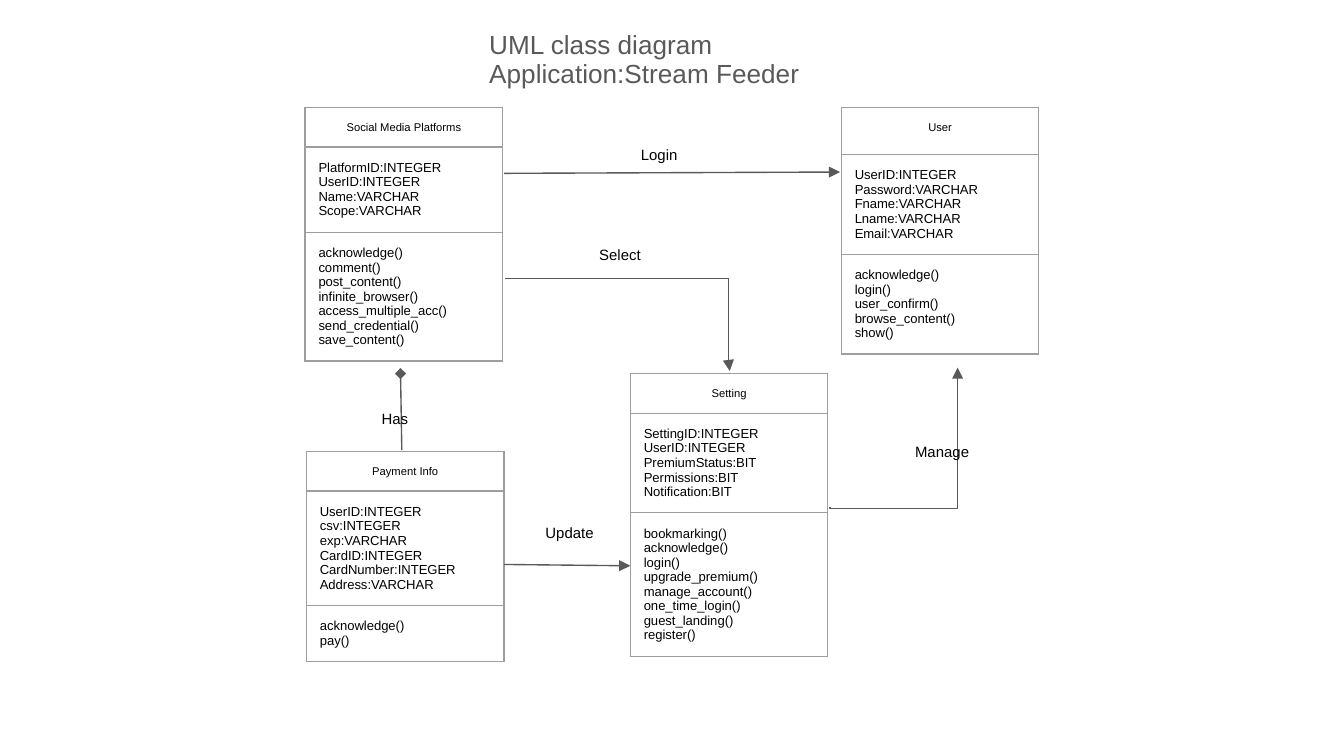
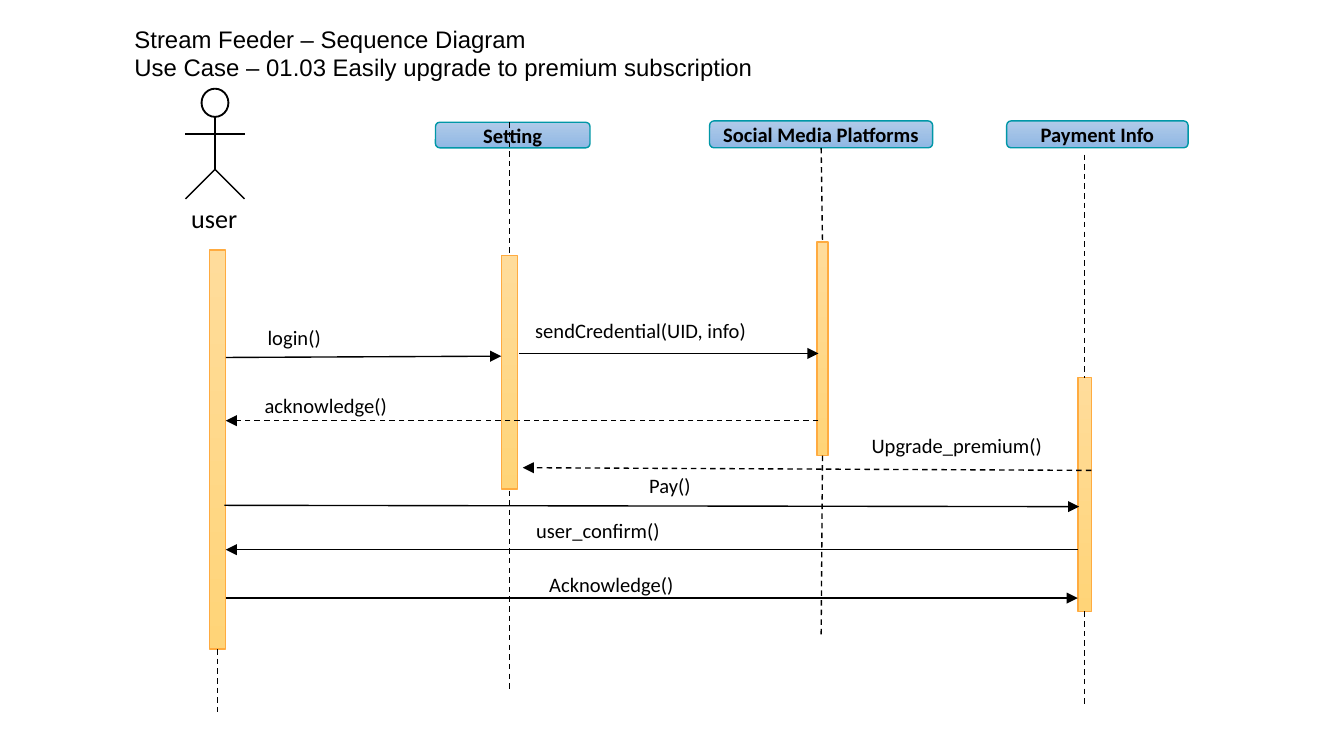
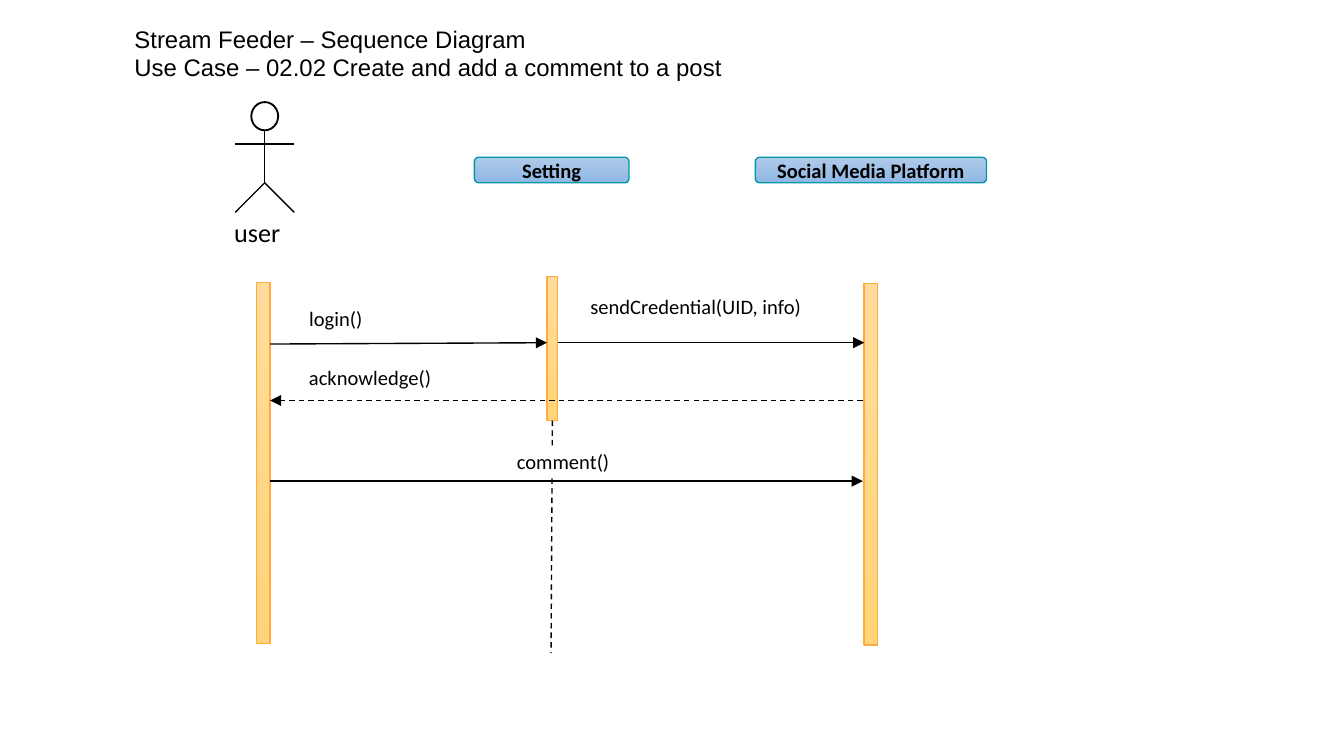
"""Build a class diagram and two sequence diagrams."""
from dataclasses import dataclass
from typing import Optional

from lxml import etree
from pptx import Presentation
from pptx.dml.color import RGBColor
from pptx.enum.dml import MSO_LINE
from pptx.enum.shapes import MSO_CONNECTOR, MSO_SHAPE
from pptx.enum.text import MSO_ANCHOR, MSO_AUTO_SIZE, PP_ALIGN
from pptx.oxml.ns import qn
from pptx.util import Inches, Pt

LEFT, CENTER = PP_ALIGN.LEFT, PP_ALIGN.CENTER
TOP, MIDDLE = MSO_ANCHOR.TOP, MSO_ANCHOR.MIDDLE
STRAIGHT, ELBOW = MSO_CONNECTOR.STRAIGHT, MSO_CONNECTOR.ELBOW
RECT, ROUND = MSO_SHAPE.RECTANGLE, MSO_SHAPE.ROUNDED_RECTANGLE
CIRCLE = MSO_SHAPE.FLOWCHART_CONNECTOR
DASH, NO_FIT = MSO_LINE.DASH, MSO_AUTO_SIZE.NONE

BLACK, WHITE, GREY, RULE = "000000", "FFFFFF", "595959", "9E9E9E"
TEAL, AMBER = "0097A7", "FFAB40"
BLUES, GOLDS = ("B0CAE9", "90B8E4"), ("FFDC9B", "FFD478")
SANS, BODY = "Arial", "Calibri"
THIN = 0.75
WIDE = (0.1, 0.1)
SNUG = (0.07, 0.04)
Box = tuple[float, float, float, float]


@dataclass
class Entity:
    """A class box: name, fields and methods."""
    left: float
    top: float
    name: str
    fields: str
    calls: str
    head: float = 0.29


@dataclass
class Wire:
    """A line between two points."""
    start: tuple[float, float]
    end: tuple[float, float]
    dash: bool = False
    tip: Optional[str] = "triangle"
    color: str = BLACK
    width: float = THIN
    bend: Optional[float] = None
    turn: int = 0


@dataclass
class Label:
    """A white box with a call name."""
    box: Box
    text: str
    align: PP_ALIGN = CENTER
    size: float = 11
    pad: float = 0.07


@dataclass
class Actor:
    """A stick figure: corner of its head, height of its arms, caption."""
    left: float
    top: float
    arm: float
    name: Box


@dataclass
class Scene:
    """All parts of one sequence diagram."""
    title: str
    actor: Actor
    heads: list[tuple[Box, str]]
    bars: list[Box]
    lives: list[Wire]
    labels: list[Label]
    calls: list[Wire]


def rgb(code: str) -> RGBColor:
    """Turn a hex string into a colour."""
    return RGBColor.from_string(code)


def place(shape, box: Box) -> None:
    """Move and size a shape."""
    shape.left, shape.top, shape.width, shape.height = map(Inches, box)


def write(frame, text: str, size: float, font: str = SANS, color: str = BLACK,
          align: PP_ALIGN = LEFT, bold: bool = False, space: float = 1.0) -> None:
    """Fill a text frame, one paragraph a line."""
    frame.text = text
    for para in frame.paragraphs:
        para.alignment = align
        para.line_spacing = space
        for run in para.runs:
            run.font.size, run.font.name, run.font.bold = Pt(size), font, bold
            run.font.color.rgb = rgb(color)


def inset(item, side: float, edge: float) -> None:
    """Set the margins of a frame or a cell."""
    item.margin_left = item.margin_right = Inches(side)
    item.margin_top = item.margin_bottom = Inches(edge)


def add_title(slide, text: str, box: Box, size: float, color: str = BLACK,
              space: float = 1.0) -> None:
    """Use the title placeholder for a two-line heading."""
    title = slide.shapes.title
    place(title, box)
    frame = title.text_frame
    frame.auto_size, frame.word_wrap = NO_FIT, True
    frame.vertical_anchor = TOP
    inset(frame, *WIDE)
    write(frame, text, size, color=color, space=space)


def add_block(slide, kind, box: Box, fill: str | tuple[str, str], line: str,
              width: float = THIN):
    """Draw a shape with a plain or two-stop fill."""
    shape = slide.shapes.add_shape(kind, *map(Inches, box))
    shape.shadow.inherit = False
    if isinstance(fill, str):
        shape.fill.solid()
        shape.fill.fore_color.rgb = rgb(fill)
    else:
        shape.fill.gradient()
        shape.fill.gradient_angle = 270
        for stop, code in zip(shape.fill.gradient_stops, fill):
            stop.color.rgb = rgb(code)
    shape.line.color.rgb = rgb(line)
    shape.line.width = Pt(width)
    return shape


def add_wire(slide, wire: Wire) -> None:
    """Draw a connector with optional dash, tip and bend."""
    kind = STRAIGHT if wire.bend is None else ELBOW
    link = slide.shapes.add_connector(kind, *map(Inches, wire.start + wire.end))
    link.line.color.rgb = rgb(wire.color)
    link.line.width = Pt(wire.width)
    if wire.dash:
        link.line.dash_style = DASH
    props = link._element.spPr
    if wire.tip:
        etree.SubElement(props.find(qn("a:ln")), qn("a:tailEnd"), type=wire.tip)
    etree.SubElement(props, qn("a:effectLst"))
    if wire.bend is not None:
        guides = props.find(qn("a:prstGeom")).find(qn("a:avLst"))
        etree.SubElement(guides, qn("a:gd"), name="adj1",
                         fmla=f"val {round(wire.bend * 100000)}")
        props.find(qn("a:xfrm")).set("rot", str(wire.turn * 60000))


def add_label(slide, label: Label) -> None:
    """Draw a call name on a white box."""
    shape = add_block(slide, ROUND, label.box, WHITE, WHITE, 1)
    frame = shape.text_frame
    frame.vertical_anchor = MIDDLE
    inset(frame, *SNUG)
    frame.margin_left = Inches(label.pad)
    write(frame, label.text, label.size, BODY, align=label.align)


def add_note(slide, left: float, top: float, width: float, text: str) -> None:
    """Name a link of the class diagram."""
    note = slide.shapes.add_textbox(*map(Inches, (left, top, width, 0.34)))
    note.text_frame.word_wrap = True
    inset(note.text_frame, *WIDE)
    write(note.text_frame, text, 8)


def add_edges(cell) -> None:
    """Rule all four sides of a cell."""
    props = cell._tc.get_or_add_tcPr()
    for side in ("lnL", "lnR", "lnT", "lnB"):
        edge = etree.SubElement(props, qn(f"a:{side}"), w=str(Pt(THIN)))
        fill = etree.SubElement(edge, qn("a:solidFill"))
        etree.SubElement(fill, qn("a:srgbClr"), val=RULE)


def add_entity(slide, item: Entity) -> None:
    """Draw a class as a table of three rows."""
    parts = (item.name, item.fields, item.calls)
    highs = [item.head] + [0.2 + 0.108 * len(part.split("\n")) for part in parts[1:]]
    box = (item.left, item.top, 1.47, sum(highs))
    table = slide.shapes.add_table(3, 1, *map(Inches, box)).table
    table.first_row = table.horz_banding = False
    for index, (part, high) in enumerate(zip(parts, highs)):
        table.rows[index].height = Inches(high)
        cell = table.cell(index, 0)
        inset(cell, *WIDE)
        add_edges(cell)
        cell.fill.background()
        head = index == 0
        write(cell.text_frame, part, 6 if head else 7, align=CENTER if head else LEFT)


def add_actor(slide, actor: Actor) -> None:
    """Draw the stick figure and its caption."""
    add_label(slide, Label(actor.name, "user", size=14))
    add_block(slide, CIRCLE, (actor.left, actor.top, 0.2, 0.21), WHITE, BLACK, 1)
    mid, neck = actor.left + 0.1, actor.top + 0.21
    hip, foot = actor.top + 0.6, actor.top + 0.82
    add_wire(slide, Wire((mid, neck), (mid, hip), tip=None))
    for side in (-0.22, 0.22):
        add_wire(slide, Wire((mid, hip), (mid + side, foot), tip=None))
    add_wire(slide, Wire((mid - 0.22, actor.arm), (mid + 0.22, actor.arm),
                         tip=None, width=1))


def add_scene(deck, scene: Scene) -> None:
    """Build one sequence diagram slide."""
    slide = deck.slides.add_slide(deck.slide_layouts[5])
    add_title(slide, f"Stream Feeder – Sequence Diagram\n{scene.title}",
              (0.9, 0.08, 9.1, 0.63), 12.8)
    for box, name in scene.heads:
        frame = add_block(slide, ROUND, box, BLUES, TEAL).text_frame
        frame.vertical_anchor = MIDDLE
        inset(frame, *SNUG)
        write(frame, name, 11, BODY, align=CENTER, bold=True)
    for box in scene.bars:
        add_block(slide, RECT, box, GOLDS, AMBER)
    add_actor(slide, scene.actor)
    for life in scene.lives:
        add_wire(slide, life)
    for label in scene.labels:
        add_label(slide, label)
    for call in scene.calls:
        add_wire(slide, call)


def life(left: float, top: float, low: float, lean: float = 0) -> Wire:
    """Make a dashed lifeline."""
    return Wire((left, top), (left + lean, low), dash=True, tip=None)


ENTITIES = [
    Entity(6.26, 0.8, "User",
           "UserID:INTEGER\nPassword:VARCHAR\nFname:VARCHAR\nLname:VARCHAR\nEmail:VARCHAR",
           "acknowledge()\nlogin()\nuser_confirm()\nbrowse_content()\nshow()", 0.35),
    Entity(2.27, 0.8, "Social Media Platforms",
           "PlatformID:INTEGER\nUserID:INTEGER\nName:VARCHAR\nScope:VARCHAR",
           "acknowledge()\ncomment()\npost_content()\ninfinite_browser()\n"
           "access_multiple_acc()\nsend_credential()\nsave_content()"),
    Entity(2.28, 3.36, "Payment Info",
           "UserID:INTEGER\ncsv:INTEGER\nexp:VARCHAR\nCardID:INTEGER\n"
           "CardNumber:INTEGER\nAddress:VARCHAR",
           "acknowledge()\npay()"),
    Entity(4.69, 2.78, "Setting",
           "SettingID:INTEGER\nUserID:INTEGER\nPremiumStatus:BIT\n"
           "Permissions:BIT\nNotification:BIT",
           "bookmarking()\nacknowledge()\nlogin()\nupgrade_premium()\n"
           "manage_account()\none_time_login()\nguest_landing()\nregister()"),
]
LINKS = [
    Wire((3.75, 1.29), (6.25, 1.28), color=GREY),
    Wire((3.76, 2.07), (5.43, 2.76), color=GREY, bend=0.995),
    Wire((2.99, 3.35), (2.98, 2.78), color=GREY, tip="diamond"),
    Wire((3.75, 4.2), (4.69, 4.21), color=GREY),
    Wire((6.13, 2.78), (7.17, 3.73), color=GREY, bend=-0.008, turn=270),
]
NOTES = [(4.67, 1.02, 0.67, "Login"), (4.36, 1.76, 0.81, "Select"),
         (2.74, 2.98, 0.59, "Has"), (3.96, 3.83, 0.72, "Update"),
         (6.71, 3.23, 0.81, "Manage")]

SCENES = [
    Scene(
        "Use Case – 01.03 Easily upgrade to premium subscription",
        Actor(1.5, 0.66, 1.0, (1.23, 1.52, 0.73, 0.21)),
        [((3.24, 0.91, 1.15, 0.19), "Setting"),
         ((5.28, 0.9, 1.66, 0.2), "Social Media Platforms"),
         ((7.49, 0.9, 1.35, 0.2), "Payment Info")],
        [(1.56, 1.86, 0.12, 2.97), (3.73, 1.9, 0.12, 1.74),
         (6.08, 1.8, 0.08, 1.59), (8.02, 2.81, 0.1, 1.74)],
        [life(1.62, 4.83, 5.31), life(3.79, 0.91, 1.9), life(3.79, 3.65, 5.15),
         life(6.11, 1.1, 1.8, 0.01), life(6.12, 3.39, 4.72, -0.01),
         life(8.07, 1.15, 2.81), life(8.07, 4.55, 5.24)],
        [Label((1.84, 2.4, 1.6, 0.22), "login()", LEFT, pad=0.14),
         Label((3.9, 2.33, 2, 0.26), "sendCredential(UID, info)", LEFT),
         Label((3.91, 4.24, 1.28, 0.21), "Acknowledge()"),
         Label((1.89, 2.92, 1.5, 0.19), "acknowledge()", LEFT),
         Label((4.28, 3.5, 1.41, 0.23), "Pay()"),
         Label((3.88, 3.85, 1.14, 0.19), "user_confirm()"),
         Label((6.37, 3.2, 1.5, 0.23), "Upgrade_premium()")],
        [Wire((1.68, 2.66), (3.73, 2.65)), Wire((3.86, 2.63), (6.09, 2.63)),
         Wire((6.09, 3.13), (1.68, 3.13), dash=True),
         Wire((8.12, 3.5), (3.89, 3.48), dash=True),
         Wire((1.67, 3.76), (8.03, 3.77)), Wire((8.02, 4.09), (1.68, 4.09)),
         Wire((1.68, 4.45), (8.02, 4.45))],
    ),
    Scene(
        "Use Case – 02.02 Create and add a comment to a post",
        Actor(1.87, 0.76, 1.07, (1.61, 1.58, 0.61, 0.3)),
        [((3.53, 1.17, 1.15, 0.19), "Setting"),
         ((5.62, 1.17, 1.72, 0.19), "Social Media Platform")],
        [(1.91, 2.1, 0.1, 2.69), (4.07, 2.06, 0.08, 1.07), (6.43, 2.11, 0.1, 2.69)],
        [life(4.11, 3.13, 4.86, -0.01)],
        [Label((2.15, 2.26, 1.6, 0.22), "login()", LEFT, pad=0.14),
         Label((4.31, 2.15, 2, 0.26), "sendCredential(UID, info)", LEFT),
         Label((2.22, 2.71, 1.5, 0.19), "acknowledge()", LEFT),
         Label((3.12, 3.34, 2.14, 0.19), "comment()")],
        [Wire((2.01, 2.56), (4.07, 2.55)), Wire((4.15, 2.55), (6.43, 2.55)),
         Wire((6.42, 2.98), (2.01, 2.98), dash=True),
         Wire((2.01, 3.58), (6.42, 3.58))],
    ),
]


def add_model(deck) -> None:
    """Build the class diagram slide."""
    slide = deck.slides.add_slide(deck.slide_layouts[5])
    add_title(slide, "UML class diagram\nApplication:Stream Feeder",
              (3.54, 0.14, 2.75, 0.87), 14, GREY, 0.9)
    for item in ENTITIES:
        add_entity(slide, item)
    for link in LINKS:
        add_wire(slide, link)
    for note in NOTES:
        add_note(slide, *note)


def main() -> None:
    """Build and save the deck."""
    deck = Presentation()
    deck.slide_width = Inches(10)
    deck.slide_height = deck.slide_width * 9 // 16
    add_model(deck)
    for scene in SCENES:
        add_scene(deck, scene)
    deck.save("out.pptx")


main()
